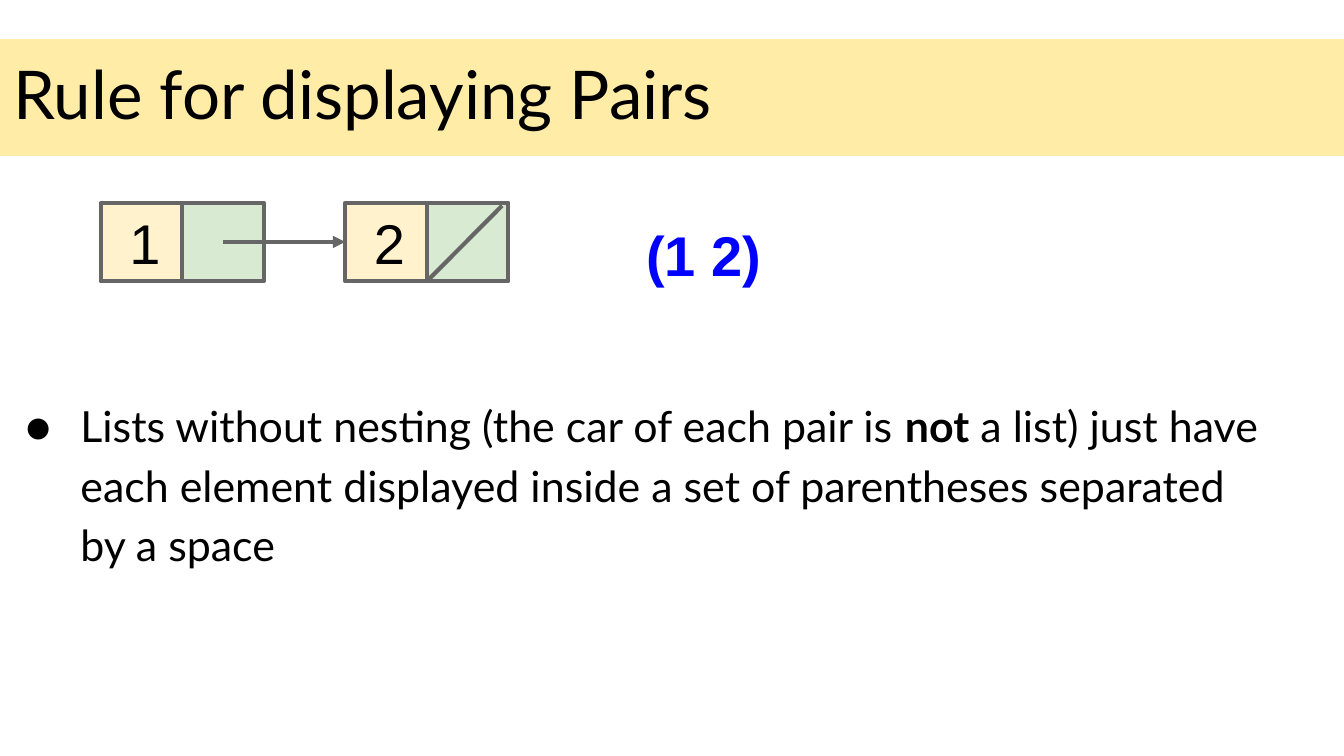
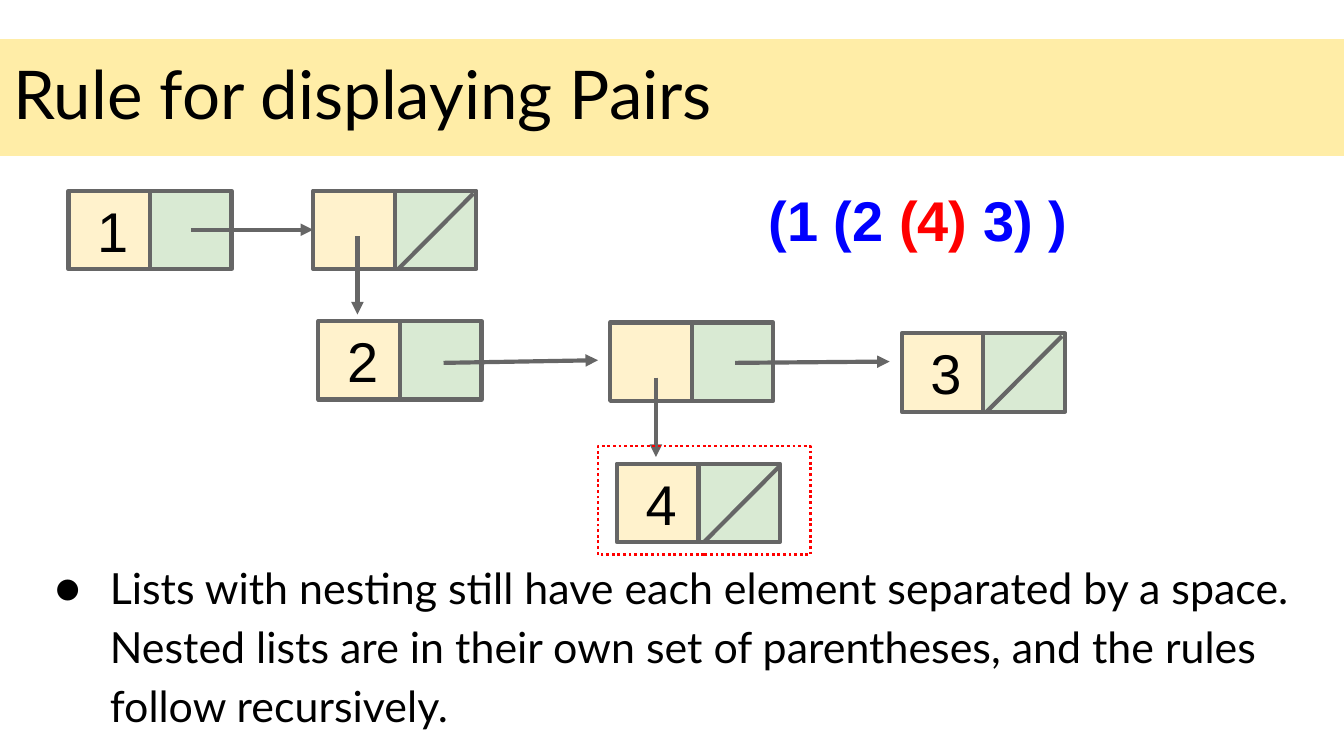
"""Builds two slides on how nested and flat lists of pairs are displayed."""
from lxml import etree
from pptx import Presentation
from pptx.dml.color import RGBColor
from pptx.enum.dml import MSO_LINE
from pptx.enum.shapes import MSO_CONNECTOR, MSO_SHAPE
from pptx.enum.text import MSO_ANCHOR, PP_ALIGN
from pptx.oxml.ns import qn
from pptx.util import Pt

RECT = MSO_SHAPE.RECTANGLE
STRAIGHT = MSO_CONNECTOR.STRAIGHT
TOP, MIDDLE = MSO_ANCHOR.TOP, MSO_ANCHOR.MIDDLE
LEFT = PP_ALIGN.LEFT
DOTTED = MSO_LINE.ROUND_DOT

COLORS = {
    "band": "FFEB99", "text": "000000", "car": "FFF2CC", "cdr": "D9EAD3",
    "stroke": "666666", "output": "0000FF", "nested": "FF0000",
}
HEADING_FONT, CODE_FONT = "Lato", "Arial"
CELL_W, CELL_H, STROKE_W = 43.7, 42, 2.25
SLASH_W, SLASH_GAP = 40.3, 1.5

SLIDES = [
    {
        "rule": [("Lists without nesting (the car of each pair is ", False),
                 ("not", True),
                 (" a list) just have each element displayed inside a set of "
                  "parentheses separated by a space", False)],
        "rule_at": (0, 203),
        "output": [("(1 2)", "output")],
        "output_at": (339, 111),
        "pairs": [(54, 108.7, " 1", None), (185, 108.7, " 2", 0)],
        "arrows": [(119.5, 129.6, 185, 129.6)],
        "nested_frame": None,
    },
    {
        "rule": [("Lists with nesting still have each element separated by a "
                  "space. Nested lists are in their own set of parentheses, "
                  "and the rules follow recursively.", False)],
        "rule_at": (15.8, 289.4),
        "output": [("(1 (2 ", "output"), ("(4)", "nested"), (" 3) )", "output")],
        "output_at": (404.6, 92.2),
        "pairs": [(36.7, 102.2, " 1", None), (167.8, 102.2, "", 1.8),
                  (170.6, 172.1, " 2", None), (326.9, 172.8, "", None),
                  (483.1, 178.6, " 3", 1.8), (330.5, 248.4, " 4", 3)],
        "arrows": [(102.2, 123.1, 167.8, 123.1), (191.5, 126.7, 191.5, 168.5),
                   (237.6, 194.4, 320.4, 193), (393.8, 194.4, 476.6, 193.7),
                   (351.4, 202.3, 351.4, 244.8)],
        "nested_frame": (320.4, 239, 113.8, 58.3),
    },
]


def write_runs(shape, runs, font, size, anchor=TOP):
    """Fill a shape with one left-aligned paragraph of (text, color, bold) runs."""
    frame = shape.text_frame
    frame.word_wrap = True
    frame.vertical_anchor = anchor
    frame.margin_left = frame.margin_right = Pt(7.2)
    frame.margin_top = frame.margin_bottom = Pt(7.2)
    paragraph = frame.paragraphs[0]
    paragraph.alignment = LEFT
    for text, color, bold in runs:
        run = paragraph.add_run()
        run.text = text
        run.font.name, run.font.size, run.font.bold = font, Pt(size), bold
        run.font.color.rgb = RGBColor.from_string(COLORS[color])
    return paragraph


def draw_line(slide, ends, arrow):
    """Draw a straight stroke, with an arrowhead at its end if asked."""
    line = slide.shapes.add_connector(STRAIGHT, *[Pt(v) for v in ends])
    line.line.color.rgb = RGBColor.from_string(COLORS["stroke"])
    line.line.width = Pt(STROKE_W)
    if arrow:
        etree.SubElement(line.line._get_or_add_ln(), qn("a:tailEnd"), type="triangle")
    etree.SubElement(line._element.spPr, qn("a:effectLst"))


prs = Presentation()
prs.slide_width, prs.slide_height = Pt(720), Pt(405)

for content in SLIDES:
    slide = prs.slides.add_slide(prs.slide_layouts[6])

    title = slide.shapes.add_shape(RECT, 0, Pt(21), Pt(720), Pt(62.5))
    title.shadow.inherit = False
    title.fill.solid()
    title.fill.fore_color.rgb = RGBColor.from_string(COLORS["band"])
    band_color = title._element.spPr.find(qn("a:solidFill"))[0]
    etree.SubElement(band_color, qn("a:alpha"), val="86000")
    title.line.fill.background()
    write_runs(title, [("Rule for displaying Pairs", "text", False)], HEADING_FONT, 36)

    left, top = content["rule_at"]
    rule = slide.shapes.add_textbox(Pt(left), Pt(top), Pt(689), Pt(261.4))
    paragraph = write_runs(rule, [(text, "text", bold) for text, bold in content["rule"]],
                           HEADING_FONT, 23)
    paragraph.line_spacing = 1.15
    properties = paragraph._p.get_or_add_pPr()
    properties.set("marL", str(Pt(36)))
    properties.set("indent", str(-Pt(29.5)))
    bullet_color = etree.SubElement(properties, qn("a:buClr"))
    etree.SubElement(bullet_color, qn("a:srgbClr"), val=COLORS["text"])
    etree.SubElement(properties, qn("a:buFont"), typeface=HEADING_FONT)
    etree.SubElement(properties, qn("a:buChar"), char="●")

    for left, top, value, slash in content["pairs"]:
        for column, part in enumerate(("car", "cdr")):
            cell = slide.shapes.add_shape(RECT, Pt(left + column * CELL_W), Pt(top),
                                          Pt(CELL_W), Pt(CELL_H))
            cell.shadow.inherit = False
            cell.fill.solid()
            cell.fill.fore_color.rgb = RGBColor.from_string(COLORS[part])
            cell.line.color.rgb = RGBColor.from_string(COLORS["stroke"])
            cell.line.width = Pt(STROKE_W)
            if part == "car" and value:
                write_runs(cell, [(value, "text", False)], CODE_FONT, 30, MIDDLE)
        if slash is not None:
            start = left + CELL_W + slash
            draw_line(slide, (start, top + CELL_H, start + SLASH_W, top + SLASH_GAP), False)

    for ends in content["arrows"]:
        draw_line(slide, ends, True)

    left, top = content["output_at"]
    output = slide.shapes.add_textbox(Pt(left), Pt(top), Pt(315.4), Pt(58.3))
    write_runs(output, [(text, color, True) for text, color in content["output"]],
               CODE_FONT, 30)

    if content["nested_frame"]:
        nested = slide.shapes.add_shape(RECT, *[Pt(v) for v in content["nested_frame"]])
        nested.shadow.inherit = False
        nested.fill.background()
        nested.line.color.rgb = RGBColor.from_string(COLORS["nested"])
        nested.line.width = Pt(1.5)
        nested.line.dash_style = DOTTED

prs.save("out.pptx")
